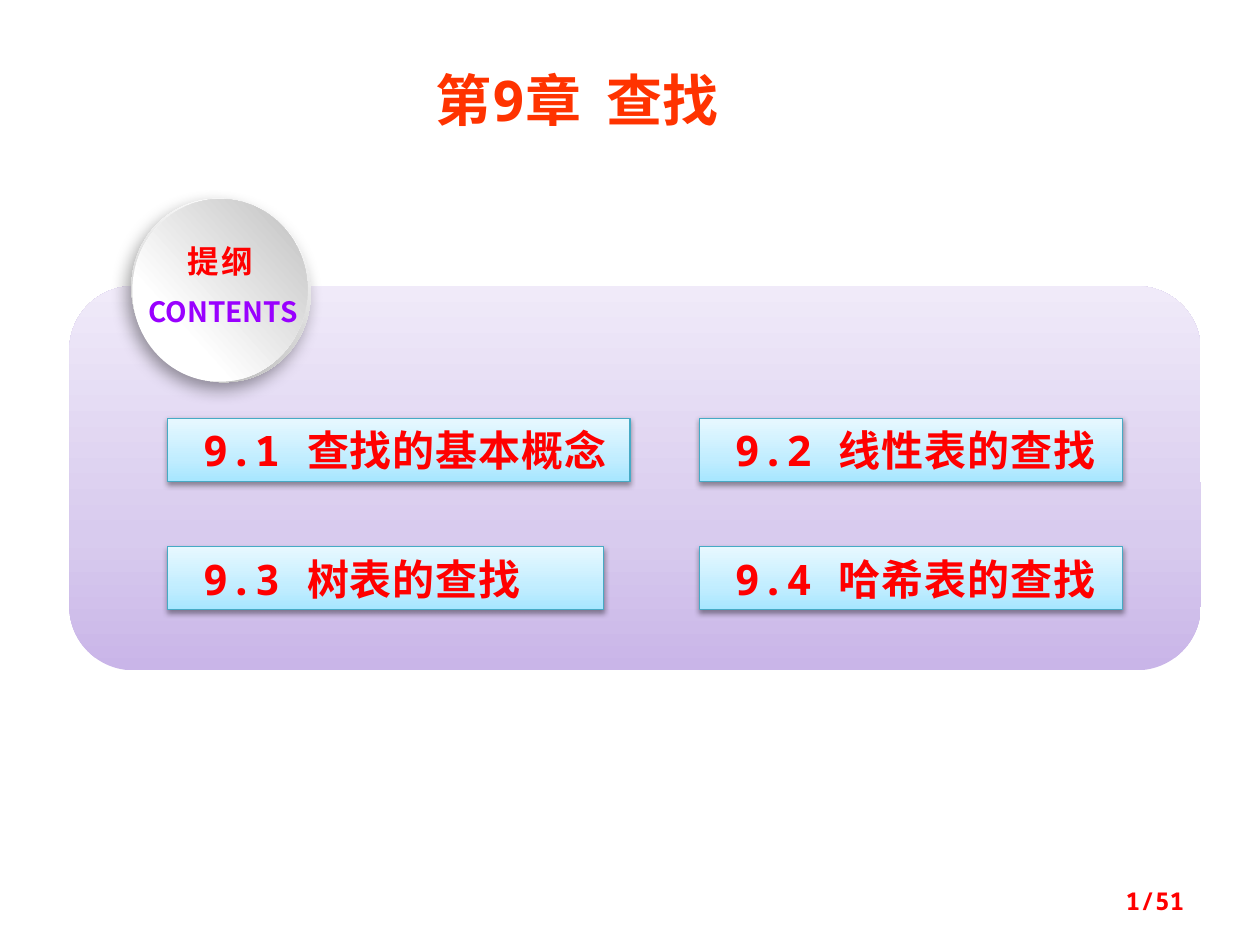
from lxml.etree import SubElement
from pptx import Presentation
from pptx.dml.color import RGBColor
from pptx.enum.shapes import MSO_SHAPE as Shape
from pptx.enum.text import MSO_ANCHOR as Anchor, PP_ALIGN as Align
from pptx.oxml.ns import qn
from pptx.util import Inches, Pt

MONO = "Noto Sans Mono"
SANS = "Noto Sans CJK SC"
RED = "FF0000"
PANEL_STOPS = [(0, "C9B5E8"), (35, "D8CBEE"), (100, "F0EAF9")]
ITEM_STOPS = [(0, "A7E6FF"), (35, "C1EDFF"), (100, "E7F8FF")]
RIM_STOPS = [(17, "FFFFFF"), (88, "B8B8B8")]
FACE_STOPS = [(29, "FFFFFF"), (98, "BFBFBF")]


def color(value):
    return RGBColor.from_string(value)


def add_shape(slide, kind, box):
    shape = slide.shapes.add_shape(kind, *map(Inches, box))
    shape.shadow.inherit = False
    shape.line.fill.background()
    return shape


def fill_gradient(shape, stops, angle):
    shape.fill.gradient()
    shape.fill.gradient_angle = angle
    stop_list = shape.element.spPr.find(qn("a:gradFill")).find(qn("a:gsLst"))
    for stop in list(stop_list):
        stop_list.remove(stop)
    for position, value in stops:
        stop = SubElement(stop_list, qn("a:gs"), pos=str(position * 1000))
        SubElement(stop, qn("a:srgbClr"), val=value)


def add_shadow(shape, opacity, blur, distance, direction):
    effects = shape.element.spPr.find(qn("a:effectLst"))
    shadow = SubElement(
        effects, qn("a:outerShdw"), blurRad=str(Pt(blur)), dist=str(Pt(distance)),
        dir=str(direction * 60000), algn="ctr", rotWithShape="0")
    black = SubElement(shadow, qn("a:srgbClr"), val="000000")
    SubElement(black, qn("a:alpha"), val=str(opacity * 1000))


def write(shape, text, size, value, font=MONO, east_asian_font=None, align=Align.LEFT,
          anchor=Anchor.TOP, left=0.1, right=0.1, spacing=0):
    frame = shape.text_frame
    frame.text = text
    frame.word_wrap = True
    frame.vertical_anchor = anchor
    frame.margin_left, frame.margin_right = Inches(left), Inches(right)
    paragraph = frame.paragraphs[0]
    paragraph.alignment = align
    run = paragraph.runs[0]
    run.font.name = font
    run.font.size = Pt(size)
    run.font.bold = True
    run.font.color.rgb = color(value)
    properties = run.font._element
    properties.set("spc", str(round(spacing * 100)))
    latin = properties.find(qn("a:latin"))
    east_asian = SubElement(properties, qn("a:ea"), typeface=east_asian_font or font)
    latin.addnext(east_asian)


def add_label(slide, box, text, size, value, **style):
    label = slide.shapes.add_textbox(*map(Inches, box))
    write(label, text, size, value, **style)


def add_title(slide, box):
    title = add_shape(slide, Shape.RECTANGLE, box)
    title.fill.solid()
    title.fill.fore_color.rgb = color("FFFFFF")
    title.line.color.rgb = color("FFFFFF")
    title.line.width = Pt(2)
    write(title, "第9章  查找", 32, "FF3300", east_asian_font=SANS)


def add_panel(slide, box):
    panel = add_shape(slide, Shape.ROUNDED_RECTANGLE, box)
    fill_gradient(panel, PANEL_STOPS, 90)


def add_item(slide, box, text):
    item = add_shape(slide, Shape.RECTANGLE, box)
    fill_gradient(item, ITEM_STOPS, 90)
    item.line.color.rgb = color("46AAC5")
    item.line.width = Pt(0.75)
    add_shadow(item, 38, 3.1, 1.6, 90)
    write(item, text, 24, RED, anchor=Anchor.MIDDLE, left=0.28, right=0.05, spacing=0.5)


def add_items(slide, left, top):
    column_step, row_step, height = 4.22, 1.02, 0.5
    items = [("9.1 查找的基本概念", 3.67), ("9.2 线性表的查找", 3.36),
             ("9.3 树表的查找", 3.46), ("9.4 哈希表的查找", 3.36)]
    for index, (text, width) in enumerate(items):
        row, column = divmod(index, 2)
        box = (left + column * column_step, top + row * row_step, width, height)
        add_item(slide, box, text)


def add_badge(slide, left, top):
    rim = add_shape(slide, Shape.OVAL, (left, top, 1.47, 1.41))
    rim.rotation = 62.3
    fill_gradient(rim, RIM_STOPS, 315)
    add_shadow(rim, 39, 10, 5, 123)
    face = add_shape(slide, Shape.OVAL, (left, top + 0.01, 1.45, 1.39))
    face.rotation = 273
    fill_gradient(face, FACE_STOPS, 315)
    add_label(slide, (left - 0.06, top + 0.69, 1.62, 0.37), "CONTENTS", 16, "9900FF",
              font=SANS, align=Align.CENTER)
    add_label(slide, (left + 0.33, top + 0.27, 0.8, 0.4), "提纲", 18, RED,
              font=SANS, align=Align.CENTER, left=0.05, right=0.05, spacing=1.5)


def main():
    presentation = Presentation()
    presentation.slide_width = Inches(10)
    presentation.slide_height = Inches(7.5)
    slide = presentation.slides.add_slide(presentation.slide_layouts[6])
    add_panel(slide, (0.55, 2.27, 8.98, 3.05))
    add_title(slide, (3.36, 0.47, 2.97, 0.64))
    add_badge(slide, 1.02, 1.6)
    add_items(slide, 1.33, 3.32)
    add_label(slide, (7.17, 6.95, 2.33, 0.4), "1/51", 14, RED,
              align=Align.RIGHT, anchor=Anchor.MIDDLE)
    presentation.save("out.pptx")


if __name__ == "__main__":
    main()
